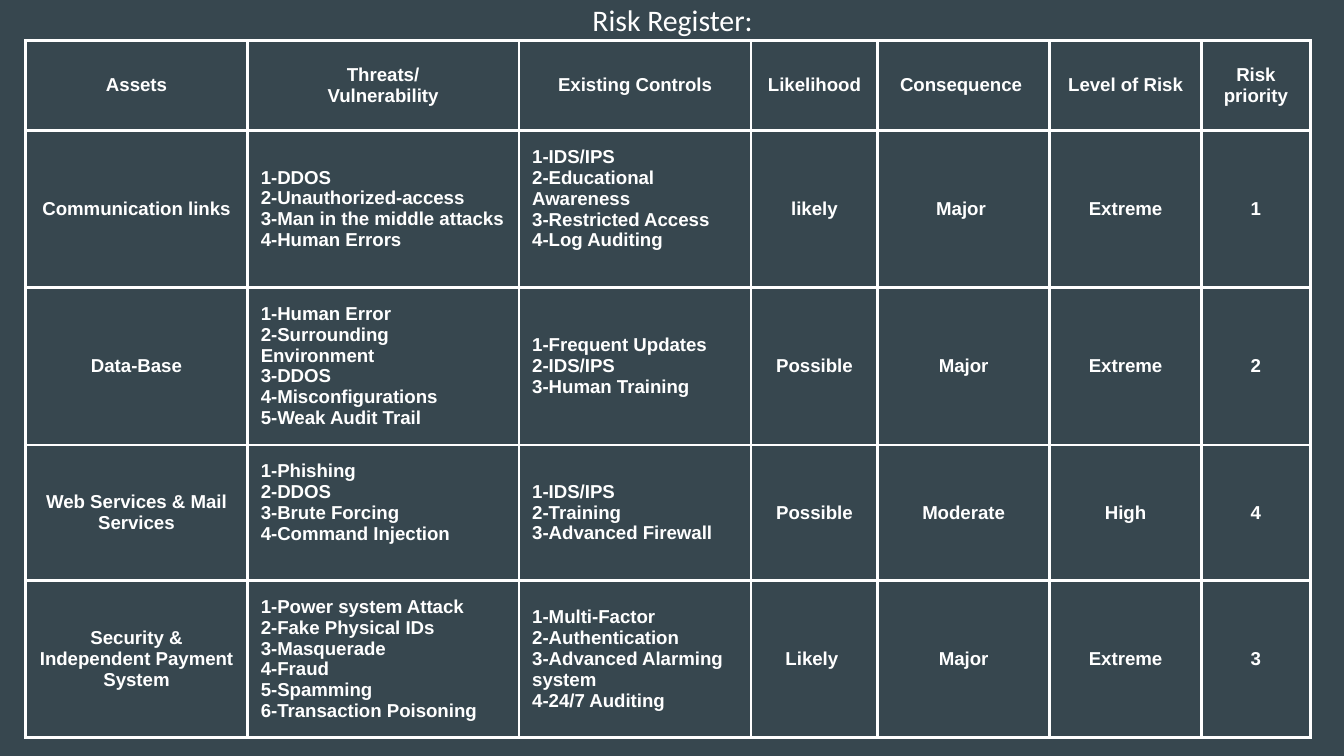
from typing import NamedTuple

from lxml.etree import SubElement
from pptx import Presentation
from pptx.dml.color import RGBColor
from pptx.enum.text import MSO_ANCHOR as Anchor, PP_ALIGN as Align
from pptx.oxml.ns import qn
from pptx.util import Inches, Pt

COLORS = {"background": "37474F", "text": "FFFFFF", "border": "FFFFFF"}
INSET = 0.1
BORDER_WIDTH = Pt(1.5)


class Column(NamedTuple):
    heading: str
    width: float
    align: Align = Align.CENTER


class Risk(NamedTuple):
    height: float
    asset: str
    threats: str
    controls: str
    likelihood: str
    consequence: str
    level: str
    priority: str


# "\n" starts a paragraph, "\v" breaks a line inside one
COLUMNS = [
    Column("Assets", 1.65),
    Column("Threats/\nVulnerability", 2.02, Align.LEFT),
    Column("Existing Controls", 1.73, Align.LEFT),
    Column("Likelihood", 0.94),
    Column("Consequence ", 1.28),
    Column("Level of Risk", 1.13),
    Column("Risk priority", 0.81),
]
HEADER_HEIGHT = 0.67
RISKS = [
    Risk(1.17, "Communication links",
         "1-DDOS\n2-Unauthorized-access\n3-Man in the middle attacks\n4-Human Errors",
         "1-IDS/IPS\n2-Educational Awareness\n3-Restricted Access\n4-Log Auditing",
         "likely", "Major ", "Extreme", "1"),
    Risk(1.17, "Data-Base",
         "1-Human Error\n2-Surrounding Environment\n3-DDOS\n"
         "4-Misconfigurations\n5-Weak Audit Trail",
         "1-Frequent Updates\n2-IDS/IPS\n3-Human Training",
         "Possible", "Major", "Extreme", "2"),
    Risk(1.01, "Web Services & Mail Services",
         "1-Phishing\n2-DDOS\n3-Brute Forcing\n4-Command Injection",
         "1-IDS/IPS\v2-Training\n3-Advanced Firewall",
         "Possible", "Moderate", "High", "4"),
    Risk(1.17, "Security & Independent Payment System",
         "1-Power system Attack\n2-Fake Physical IDs\n3-Masquerade\n"
         "4-Fraud\n5-Spamming\n6-Transaction Poisoning",
         "1-Multi-Factor\n2-Authentication\n3-Advanced Alarming system\n4-24/7 Auditing",
         "Likely ", "Major", "Extreme", "3"),
]
# Cells (row, column) whose text sits half a line above the middle
RAISED_CELLS = {(1, 2), (3, 1)}
LINE_HEIGHT = 0.15


def add_span(para, text: str, font: str, size: float, bold: bool) -> None:
    span = para.add_run()
    span.text = text
    span.font.name = font
    span.font.size = Pt(size)
    span.font.bold = bold
    span.font.color.rgb = RGBColor.from_string(COLORS["text"])


def write_text(frame, text: str, align: Align, font: str, size: float, bold: bool) -> None:
    for index, content in enumerate(text.split("\n")):
        para = frame.add_paragraph() if index else frame.paragraphs[0]
        para.alignment = align
        for part, line in enumerate(content.split("\v")):
            if part:
                para.add_line_break()
            add_span(para, line, font, size, bold)


def add_borders(cell) -> None:
    properties = cell._tc.get_or_add_tcPr()
    for side in ("a:lnL", "a:lnR", "a:lnT", "a:lnB"):
        line = SubElement(properties, qn(side), w=str(BORDER_WIDTH))
        fill = SubElement(line, qn("a:solidFill"))
        SubElement(fill, qn("a:srgbClr"), val=COLORS["border"])


def fill_cell(cell, text: str, align: Align, raised: bool) -> None:
    add_borders(cell)
    cell.fill.background()
    cell.vertical_anchor = Anchor.MIDDLE
    cell.margin_left = cell.margin_right = cell.margin_top = Inches(INSET)
    cell.margin_bottom = Inches(INSET + LINE_HEIGHT * raised)
    write_text(cell.text_frame, text, align, "Arial", 10, True)


def add_title(page, text: str) -> None:
    title = page.shapes.title
    title.left, title.top = Inches(2.58), Inches(-0.09)
    title.width, title.height = Inches(4.85), Inches(0.54)
    frame = title.text_frame
    frame.word_wrap = True
    frame.vertical_anchor = Anchor.TOP
    frame.margin_left = frame.margin_right = Inches(INSET)
    frame.margin_top = frame.margin_bottom = Inches(INSET)
    write_text(frame, text, Align.CENTER, "Calibri", 16, False)


def add_register(page) -> None:
    heights = [HEADER_HEIGHT] + [risk.height for risk in RISKS]
    table = page.shapes.add_table(
        len(heights), len(COLUMNS), Inches(0.19), Inches(0.3),
        Inches(sum(column.width for column in COLUMNS)), Inches(sum(heights))).table
    table.first_row = table.horz_banding = False
    for row, height in zip(table.rows, heights):
        row.height = Inches(height)

    for c, column in enumerate(COLUMNS):
        table.columns[c].width = Inches(column.width)
        fill_cell(table.cell(0, c), column.heading, Align.CENTER, False)
        for r, risk in enumerate(RISKS, start=1):
            fill_cell(table.cell(r, c), risk[c + 1], column.align, (r, c) in RAISED_CELLS)


def main() -> None:
    # Widescreen 16:9 deck
    deck = Presentation()
    deck.slide_width = Inches(10)
    deck.slide_height = Inches(10 * 9 / 16)

    # Title-only page on a dark background
    page = deck.slides.add_slide(deck.slide_layouts[5])
    page.background.fill.solid()
    page.background.fill.fore_color.rgb = RGBColor.from_string(COLORS["background"])

    add_title(page, "Risk Register:")
    add_register(page)
    deck.save("out.pptx")


if __name__ == "__main__":
    main()
